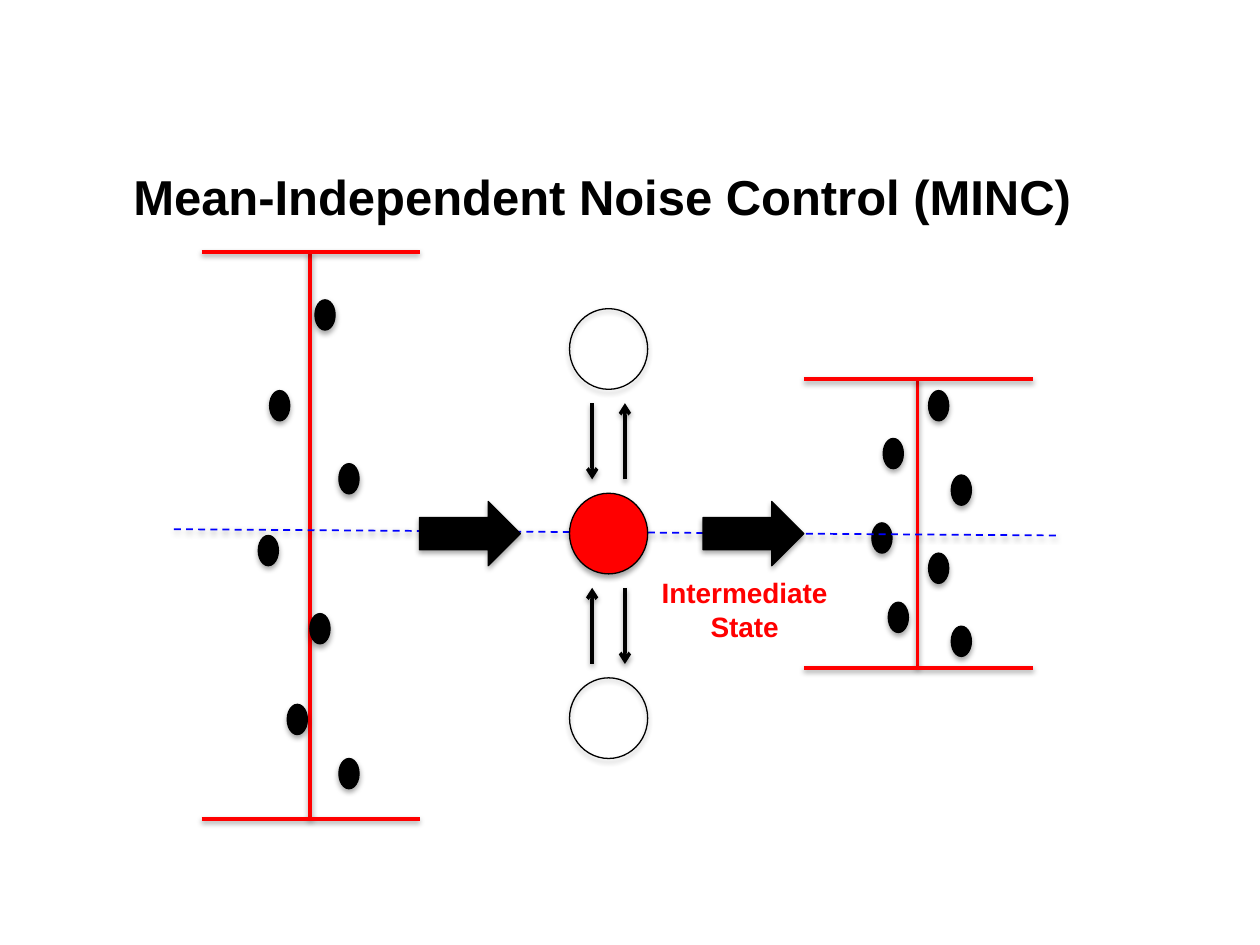
from collections import namedtuple
from dataclasses import dataclass

from lxml.etree import SubElement
from pptx import Presentation
from pptx.dml.color import RGBColor
from pptx.enum.dml import MSO_LINE
from pptx.enum.shapes import MSO_CONNECTOR, MSO_SHAPE
from pptx.enum.text import MSO_AUTO_SIZE, PP_ALIGN
from pptx.oxml.ns import qn
from pptx.util import Inches, Pt

Box = namedtuple("Box", "left top width height")


@dataclass(frozen=True)
class Theme:
    """Colours, type sizes and line widths of the slide."""
    ink: RGBColor = RGBColor(0, 0, 0)
    accent: RGBColor = RGBColor(255, 0, 0)
    mean: RGBColor = RGBColor(0, 0, 255)
    font: str = "Arial"
    title_size: int = 28
    label_size: int = 16
    rule: float = 2
    thin: float = 1
    outline: float = 0.75


THEME = Theme()


def add_shadow(properties, distance, opacity):
    """Give shape properties a soft shadow that falls straight down."""
    effects = properties.find(qn("a:effectLst"))
    if effects is None:
        effects = SubElement(properties, qn("a:effectLst"))
    shadow = SubElement(effects, qn("a:outerShdw"), blurRad=str(Pt(3.1)),
                        dist=str(Pt(distance)), dir="5400000", rotWithShape="0")
    black = SubElement(shadow, qn("a:srgbClr"), val="000000")
    SubElement(black, qn("a:alpha"), val=str(opacity * 1000))


def add_line(slide, start, end, color, width=THEME.rule, dashed=False, arrow=False):
    """Draw a shadowed straight line, optionally dashed or with an arrowhead."""
    line = slide.shapes.add_connector(MSO_CONNECTOR.STRAIGHT,
                                      *map(Inches, (*start, *end)))
    line.line.color.rgb = color
    line.line.width = Pt(width)
    if dashed:
        line.line.dash_style = MSO_LINE.DASH
    properties = line._element.spPr
    if arrow:
        SubElement(properties.find(qn("a:ln")), qn("a:tailEnd"), type="arrow")
    add_shadow(properties, 1.6, 38)


def add_figure(slide, preset, box, fill=None):
    """Draw a shadowed preset shape with a thin outline."""
    figure = slide.shapes.add_shape(preset, *map(Inches, box))
    if fill is None:
        figure.fill.background()
    else:
        figure.fill.solid()
        figure.fill.fore_color.rgb = fill
    figure.line.color.rgb = THEME.ink
    figure.line.width = Pt(THEME.outline)
    figure.shadow.inherit = False
    add_shadow(figure._element.spPr, 1.8, 35)


def add_text(slide, box, lines, size, color, align=None):
    """Place bold lines of text, one paragraph each."""
    frame = slide.shapes.add_textbox(*map(Inches, box)).text_frame
    frame.word_wrap = False
    frame.auto_size = MSO_AUTO_SIZE.SHAPE_TO_FIT_TEXT
    frame.text = "\n".join(lines)
    for paragraph in frame.paragraphs:
        paragraph.alignment = align
        paragraph.font.name = THEME.font
        paragraph.font.size = Pt(size)
        paragraph.font.bold = True
        paragraph.font.color.rgb = color


def add_spread(slide, box, stem_offset, samples):
    """Draw a noise range bar and its samples, offset from the box corner."""
    right, bottom = box.left + box.width, box.top + box.height
    stem = box.left + stem_offset
    add_line(slide, (stem, box.top), (stem, bottom), THEME.accent)
    for y in (box.top, bottom):
        add_line(slide, (box.left, y), (right, y), THEME.accent)
    for x, y in samples:
        add_figure(slide, MSO_SHAPE.OVAL,
                   Box(box.left + x, box.top + y, 0.16, 0.24), THEME.ink)


def add_states(slide, box):
    """Stack three states, linked by pairs of opposite arrows."""
    diameter, gap = 0.64, 0.11
    pitch = (box.height - diameter) / 2
    center = box.left + box.width / 2
    for row, fill in enumerate((None, THEME.accent, None)):
        add_figure(slide, MSO_SHAPE.OVAL,
                   Box(box.left, box.top + row * pitch, box.width, diameter), fill)
    for row, (down, up) in enumerate(((-0.13, 0.13), (0.13, -0.13))):
        upper = box.top + row * pitch + diameter + gap
        lower = box.top + (row + 1) * pitch - gap
        add_line(slide, (center + down, upper), (center + down, lower),
                 THEME.ink, arrow=True)
        add_line(slide, (center + up, lower), (center + up, upper),
                 THEME.ink, arrow=True)


def add_control(slide, box):
    """Draw the control stage: states in the middle, a block arrow on each side."""
    width, height = 0.8, 0.51
    add_states(slide, Box(box.left + 1.19, box.top, 0.62, box.height))
    top = box.top + (box.height - height) / 2
    for left in (box.left, box.left + box.width - width):
        add_figure(slide, MSO_SHAPE.RIGHT_ARROW, Box(left, top, width, height),
                   THEME.ink)
    add_text(slide, Box(box.left + 1.81, box.top + 2.07, 1.54, 0.64),
             ["Intermediate", "State"], THEME.label_size, THEME.accent,
             PP_ALIGN.CENTER)


def build():
    """Build the noise control slide."""
    deck = Presentation()
    deck.slide_width, deck.slide_height = Inches(10), Inches(7.5)
    slide = deck.slides.add_slide(deck.slide_layouts[6])
    add_spread(slide, Box(1.6, 2, 1.73, 4.5), 0.86,
               [(0.9, 0.38), (0.54, 1.1), (1.09, 1.68), (0.45, 2.25),
                (0.86, 2.87), (0.68, 3.59), (1.09, 4.02)])
    add_spread(slide, Box(6.38, 3.01, 1.82, 2.29), 0.9,
               [(0.99, 0.09), (0.63, 0.47), (1.17, 0.76), (0.54, 1.14),
                (0.99, 1.38), (0.67, 1.77), (1.17, 1.96)])
    add_line(slide, (1.38, 4.2), (8.42, 4.25), THEME.mean, THEME.thin, dashed=True)
    add_control(slide, Box(3.33, 2.45, 3.05, 3.57))
    add_text(slide, Box(0.96, 1.27, 7.74, 0.57),
             ["Mean-Independent Noise Control (MINC)"], THEME.title_size, THEME.ink)
    deck.save("out.pptx")


build()
